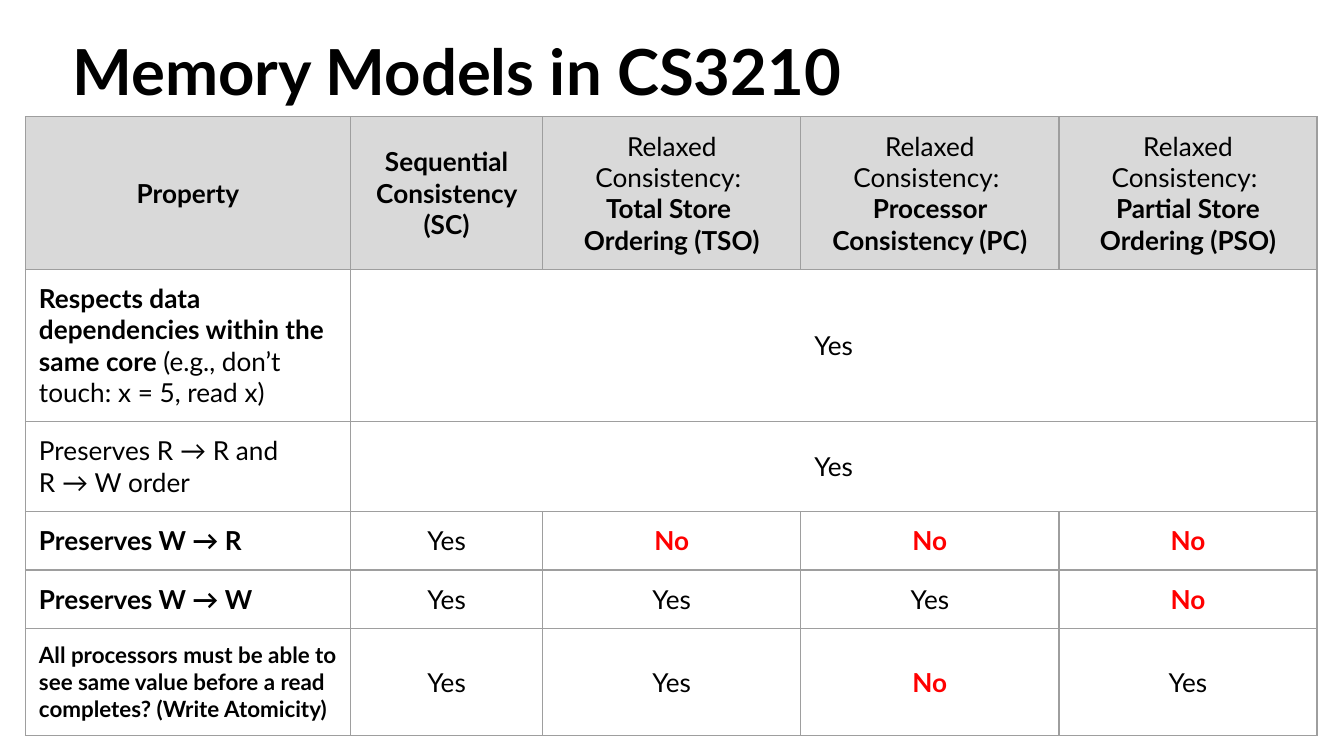
from lxml import etree
from pptx import Presentation
from pptx.dml.color import RGBColor
from pptx.enum import text
from pptx.oxml.ns import qn
from pptx.util import Pt

HUES = {"ink": "000000", "no": "FF0000", "head": "D9D9D9", "rule": "9E9E9E"}
PAD = dict.fromkeys(
    ("margin_left", "margin_right", "margin_top", "margin_bottom"), Pt(7.2))


def write(par, line, size, hue="ink"):
    """Fill a paragraph: * toggles bold, a newline is a line break."""
    for i, part in enumerate(line.split("*")):
        for j, bit in enumerate(part.split("\n")):
            if j:
                par.add_line_break()
            if bit:
                run = par.add_run()
                run.text = bit
                look = {"name": "Lato", "size": Pt(size), "bold": i % 2 == 1}
                for key, val in look.items():
                    setattr(run.font, key, val)
                run.font.color.rgb = RGBColor.from_string(HUES[hue])


def edge(cell):
    """Draw a thin rule on all four sides of a cell."""
    props = cell._tc.get_or_add_tcPr()
    for i, side in enumerate(("lnL", "lnR", "lnT", "lnB")):
        line = etree.Element(qn(f"a:{side}"), w=str(Pt(0.75)))
        fill = etree.SubElement(line, qn("a:solidFill"))
        etree.SubElement(fill, qn("a:srgbClr"), val=HUES["rule"])
        props.insert(i, line)


deck = Presentation()
deck.slide_width, deck.slide_height = Pt(720), Pt(405)
slide = deck.slides.add_slide(deck.slide_layouts[5])

title = slide.shapes.title
title.left, title.top, title.width, title.height = Pt(31.7), Pt(10.1), Pt(592), Pt(50.4)
frame = title.text_frame
form = {"word_wrap": True, "auto_size": text.MSO_AUTO_SIZE.NONE,
        "vertical_anchor": text.MSO_ANCHOR.TOP, **PAD}
for key, val in form.items():
    setattr(frame, key, val)
frame.paragraphs[0].alignment = text.PP_ALIGN.LEFT
write(frame.paragraphs[0], "*Memory Models in CS3210*", 34)

# Each cell is a list of paragraphs; None is covered by the merged cell before it
relaxed = "Relaxed Consistency: "
yes, no = ["Yes"], ["*No*"]
rows = [
    [["*Property*"], ["*Sequential Consistency (SC)*"],
     [relaxed, "*Total Store \nOrdering (TSO)*"],
     [relaxed, "*Processor Consistency (PC)*"],
     [relaxed, "*Partial Store Ordering (PSO)*"]],
    [["*Respects data dependencies within the same core *"
      "(e.g., don’t touch: x = 5, read x)"], yes, None, None, None],
    [["Preserves R → R and \nR → W order"], yes, None, None, None],
    [["*Preserves W → R*"], yes, no, no, no],
    [["*Preserves W → W*"], yes, yes, yes, no],
    [["*All processors must be able to see same value before a read "
      "completes? (Write Atomicity)*"], yes, yes, no, yes],
]
wide = [174.1, 103, 138.3, 138.3, 138.3]
high = [81.4, 81.4, 48.2, 31, 31, 57.6]

grid = slide.shapes.add_table(len(rows), len(wide), Pt(13.7), Pt(62.6),
                              Pt(sum(wide)), Pt(sum(high))).table
for col, size in zip(grid.columns, wide):
    col.width = Pt(size)
for row, size in zip(grid.rows, high):
    row.height = Pt(size)

for r, row in enumerate(rows):
    for c, lines in enumerate(row):
        cell = grid.cell(r, c)
        if r == 0:
            cell.fill.solid()
            cell.fill.fore_color.rgb = RGBColor.from_string(HUES["head"])
        else:
            cell.fill.background()
        edge(cell)
        label = c == 0 and r > 0
        for key, val in PAD.items():
            setattr(cell, key, val)
        cell.vertical_anchor = text.MSO_ANCHOR.TOP if label else text.MSO_ANCHOR.MIDDLE
        for i, line in enumerate(lines or []):
            par = cell.text_frame.add_paragraph() if i else cell.text_frame.paragraphs[0]
            par.alignment = text.PP_ALIGN.LEFT if label else text.PP_ALIGN.CENTER
            last = label and r == len(rows) - 1
            write(par, line, 12 if last else 14, "no" if lines is no else "ink")
    if None in row:
        grid.cell(r, 1).merge(grid.cell(r, len(wide) - 1))

deck.save("out.pptx")
